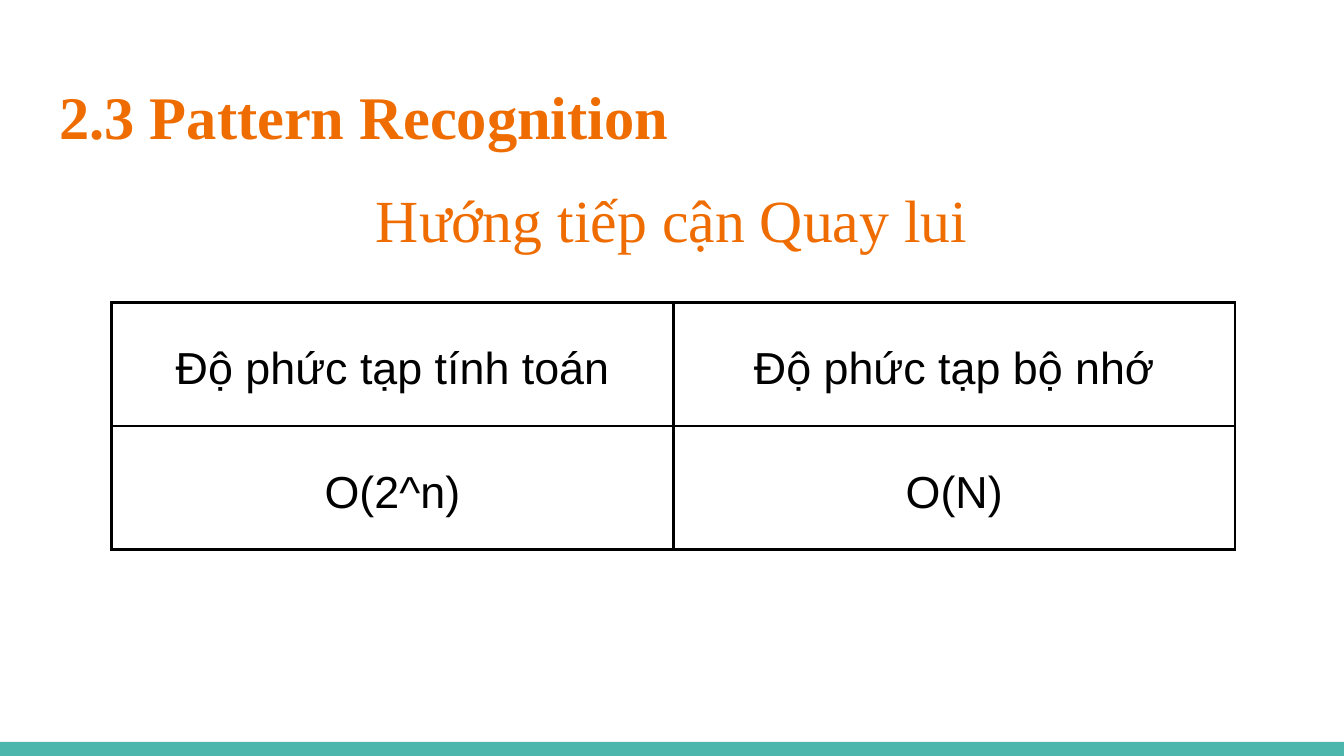
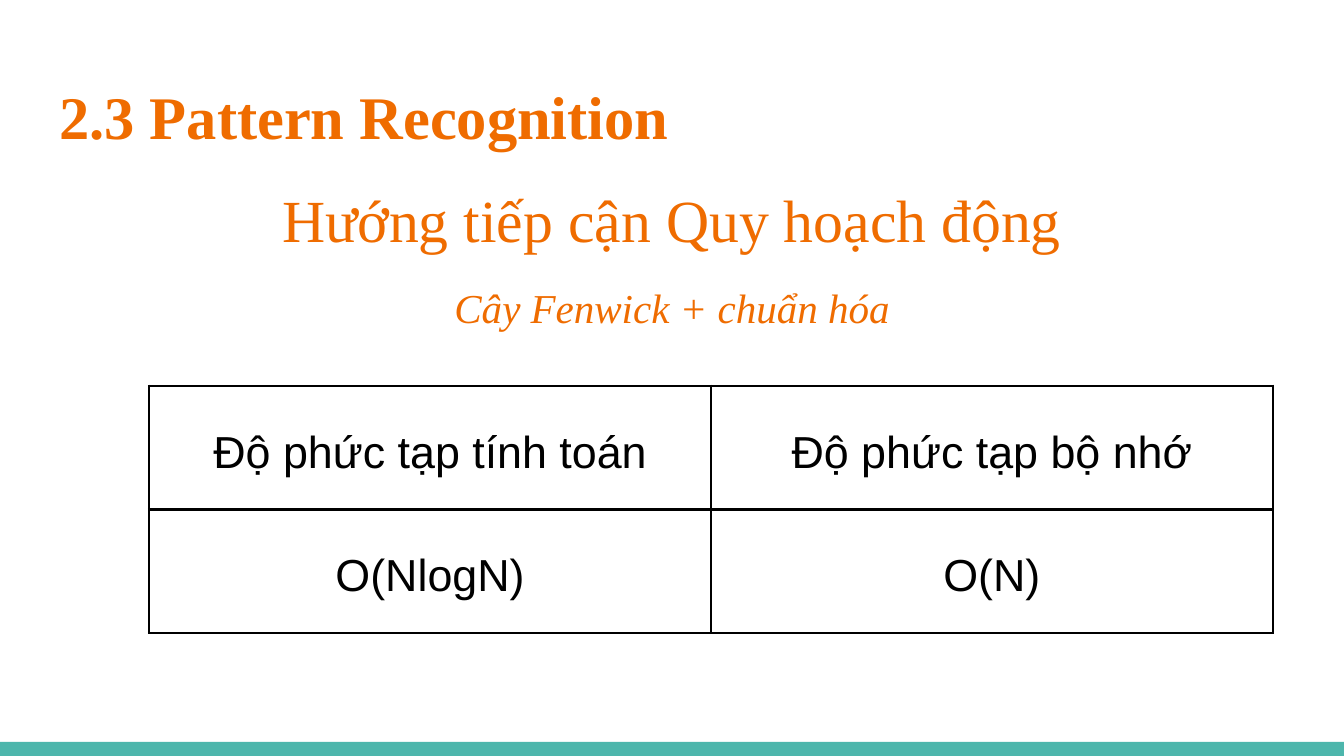
"""Build two slides that compare the complexity of two approaches."""
from dataclasses import dataclass

from lxml.etree import SubElement
from pptx import Presentation
from pptx.dml.color import RGBColor as Color
from pptx.enum.shapes import MSO_SHAPE as Shape
from pptx.enum.text import MSO_ANCHOR as Anchor, MSO_AUTO_SIZE as AutoSize, PP_ALIGN as Align
from pptx.oxml.ns import qn
from pptx.util import Inches, Pt


@dataclass(frozen=True)
class Theme:
    accent: str = "EF6C00"
    band: str = "4DB6AC"
    ink: str = "000000"
    paper: str = "FFFFFF"
    serif: str = "Times New Roman"
    sans: str = "Arial"
    title_size: float = 32.4
    heading_size: float = 32
    note_size: float = 22
    cell_size: float = 24
    border: float = 1.5
    inset: float = 0.1


THEME = Theme()
WIDTH = 10
HEIGHT = WIDTH * 9 / 16
BAND_AREA = (0, 5.52, WIDTH, 0.11)
TITLE_AREA = (0.34, 0.49, 9.32, 0.77)
HEADING_AREA = (1.11, 1.26, 7.78, 0.74)
NOTE_AREA = (2.99, 2, 4.02, 0.57)
COLUMN_WIDTH, ROW_HEIGHT = 4.18, 0.92

TITLE = "2.3 Pattern Recognition"
HEADERS = ("Độ phức tạp tính toán", "Độ phức tạp bộ nhớ")
SLIDES = [
    {"heading": "Hướng tiếp cận Quay lui", "note": None,
     "costs": ("O(2^n)", "O(N)"), "table_at": (0.83, 2.25)},
    {"heading": "Hướng tiếp cận Quy hoạch động", "note": "Cây Fenwick + chuẩn hóa",
     "costs": ("O(NlogN)", "O(N)"), "table_at": (1.11, 2.87)},
]


def inches(values):
    return [Inches(value) for value in values]


def set_insets(target):
    target.margin_left = target.margin_right = Inches(THEME.inset)
    target.margin_top = target.margin_bottom = Inches(THEME.inset)


def write(frame, text, size, font, color, align, bold=False, italic=False):
    frame.text = text
    para = frame.paragraphs[0]
    para.alignment = align
    for span in para.runs:
        span.font.size = Pt(size)
        span.font.name = font
        span.font.bold, span.font.italic = bold, italic
        span.font.color.rgb = Color.from_string(color)
    return para


def write_accent(frame, text, size, align=Align.CENTER, **style):
    set_insets(frame)
    frame.word_wrap = True
    frame.vertical_anchor = Anchor.TOP
    write(frame, text, size, THEME.serif, THEME.accent, align, **style)


def add_band(page):
    band = page.shapes.add_shape(Shape.RECTANGLE, *inches(BAND_AREA))
    band.shadow.inherit = False
    band.fill.solid()
    band.fill.fore_color.rgb = Color.from_string(THEME.band)
    band.line.fill.background()


def place_title(page):
    title = page.shapes.title
    title.left, title.top, title.width, title.height = inches(TITLE_AREA)
    title.text_frame.auto_size = AutoSize.NONE
    write_accent(title.text_frame, TITLE, THEME.title_size, Align.LEFT, bold=True)


def add_caption(page, area, text, size, **style):
    box = page.shapes.add_textbox(*inches(area))
    write_accent(box.text_frame, text, size, **style)
    box.text_frame.auto_size = AutoSize.SHAPE_TO_FIT_TEXT


def set_borders(cell):
    properties = cell._tc.get_or_add_tcPr()
    for index, side in enumerate(("lnL", "lnR", "lnT", "lnB")):
        line = SubElement(properties, qn(f"a:{side}"), w=str(Pt(THEME.border)))
        fill = SubElement(line, qn("a:solidFill"))
        SubElement(fill, qn("a:srgbClr"), val=THEME.ink)
        properties.insert(index, line)


def add_grid(page, corner, rows):
    size = (COLUMN_WIDTH * len(rows[0]), ROW_HEIGHT * len(rows))
    area = inches((*corner, *size))
    table = page.shapes.add_table(len(rows), len(rows[0]), *area).table
    table.first_row = table.horz_banding = False
    for column in table.columns:
        column.width = Inches(COLUMN_WIDTH)
    for row, texts in zip(table.rows, rows):
        row.height = Inches(ROW_HEIGHT)
        for cell, text in zip(row.cells, texts):
            cell.fill.background()
            set_borders(cell)
            set_insets(cell)
            cell.vertical_anchor = Anchor.MIDDLE
            para = write(cell.text_frame, text, THEME.cell_size, THEME.sans,
                         THEME.ink, Align.CENTER)
            para.line_spacing = 1.2


deck = Presentation()
deck.slide_width, deck.slide_height = inches((WIDTH, HEIGHT))
background = deck.slide_master.background.fill
background.solid()
background.fore_color.rgb = Color.from_string(THEME.paper)
for content in SLIDES:
    page = deck.slides.add_slide(deck.slide_layouts.get_by_name("Title Only"))
    add_band(page)
    place_title(page)
    if content["note"]:
        add_caption(page, NOTE_AREA, content["note"], THEME.note_size, italic=True)
    add_grid(page, content["table_at"], (HEADERS, content["costs"]))
    add_caption(page, HEADING_AREA, content["heading"], THEME.heading_size)
deck.save("out.pptx")
